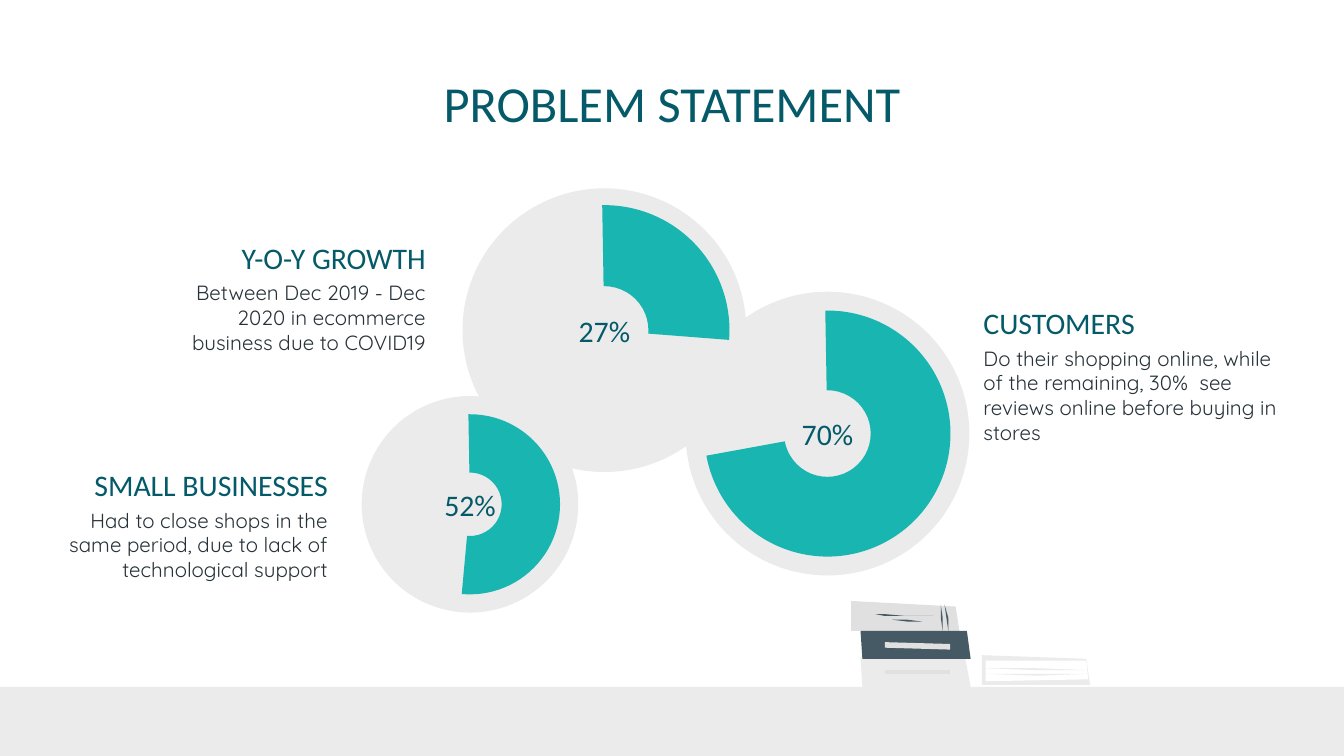
from pptx import Presentation
from pptx.util import Pt
from pptx.dml.color import RGBColor
from pptx.enum.shapes import MSO_SHAPE
from pptx.enum.text import MSO_ANCHOR, MSO_AUTO_SIZE, PP_ALIGN

PALE = RGBColor(0xEB, 0xEB, 0xEB)
GREY = RGBColor(0xE0, 0xE0, 0xE0)
SLATE = RGBColor(0x45, 0x5A, 0x64)
WHITE = RGBColor(0xFF, 0xFF, 0xFF)
TEAL = RGBColor(0x19, 0xB5, 0xB1)
PETROL = RGBColor(0x04, 0x5A, 0x68)
INK = RGBColor(0x26, 0x32, 0x38)


def write(sp, text, size=16, font="Calibri", color=PETROL,
          align=PP_ALIGN.CENTER, anchor=MSO_ANCHOR.MIDDLE):
    tf = sp.text_frame
    tf.word_wrap = True
    tf.auto_size = MSO_AUTO_SIZE.NONE
    tf.vertical_anchor = anchor
    tf.margin_left = tf.margin_right = tf.margin_top = tf.margin_bottom = Pt(7.2)
    p = tf.paragraphs[0]
    p.alignment = align
    r = p.add_run()
    r.text = text
    r.font.size = Pt(size)
    r.font.name = font
    r.font.color.rgb = color


def paint(sp, color):
    sp.shadow.inherit = False
    sp.fill.solid()
    sp.fill.fore_color.rgb = color
    sp.line.fill.background()


prs = Presentation()
prs.slide_width, prs.slide_height = Pt(720), Pt(405)
s = prs.slides.add_slide(prs.slide_layouts[5])

# Title
title = s.shapes.title
title.left, title.top, title.width, title.height = Pt(56.7), Pt(42.5), Pt(606.6), Pt(25.2)
write(title, "PROBLEM STATEMENT", size=27)

# Floor
floor = s.shapes.add_shape(MSO_SHAPE.RECTANGLE, Pt(0), Pt(368), Pt(720), Pt(37))
paint(floor, PALE)

# Books and the thin marks on them
outlines = [
    (PALE, [(460.8, 352), (462.2, 368), (519.8, 368), (517, 352)]),
    (GREY, [(473.8, 358.6), (473.8, 361.4), (509, 361.4), (509, 358.6)]),
    (GREY, [(455.8, 321.8), (456.5, 337.7), (514, 338.4), (511.9, 324.7)]),
    (SLATE, [(469.4, 329), (473.8, 329.8), (485.3, 330.5), (500.4, 330.5),
             (485.3, 329.8), (473.8, 329)]),
    (SLATE, [(503.6, 324), (504, 331.2), (505.4, 338.4), (504.9, 331.2)]),
    (SLATE, [(506.4, 324), (506.9, 331.2), (508.5, 338.4), (507.8, 331.2)]),
    (SLATE, [(478.1, 332.4), (486, 332.9), (493.9, 332.9), (486, 332)]),
    (PALE, [(525.6, 351.2), (526.5, 367), (584, 367), (581.8, 352.8)]),
    (WHITE, [(527.8, 353.5), (528.5, 365), (583, 364.3), (581.8, 354.4)]),
    (SLATE, [(461, 337.5), (462.3, 353.4), (519.8, 352.8), (517.6, 338.5)]),
    (GREY, [(473.6, 344), (473.6, 347), (509, 347.8), (509, 344.9)]),
    (PALE, [(527.8, 358.4), (555.1, 358.8), (582.4, 358.6), (555.1, 358)]),
    (PALE, [(528.5, 360.9), (555.8, 361.5), (583.2, 361.4), (555.8, 360.7)]),
]
for color, points in outlines:
    fb = s.shapes.build_freeform(*points[0], scale=Pt(1))
    fb.add_line_segments(points[1:], close=True)
    paint(fb.convert_to_shape(), color)

# Gauges: label, centre x, centre y, disc diameter, ring diameter, end angle
gauges = [
    ("27%", 323.8, 176.9, 152, 134, 4.46),
    ("52%", 251.8, 270.2, 116, 96.5, 95.24),
    ("70%", 443.3, 232.3, 152, 131.8, 169.64),
]
for label, cx, cy, disc, ring, end in gauges:
    sp = s.shapes.add_shape(MSO_SHAPE.OVAL, Pt(cx - disc / 2), Pt(cy - disc / 2),
                            Pt(disc), Pt(disc))
    paint(sp, PALE)
for label, cx, cy, disc, ring, end in gauges:
    arc = s.shapes.add_shape(MSO_SHAPE.BLOCK_ARC, Pt(cx - ring / 2), Pt(cy - ring / 2),
                             Pt(ring), Pt(ring))
    # An angle of one degree is 0.6 in adjustment units
    arc.adjustments[0] = 269 * 0.6
    arc.adjustments[1] = end * 0.6
    arc.adjustments[2] = 0.324
    paint(arc, TEAL)
    box = s.shapes.add_textbox(Pt(cx - 28), Pt(cy - 21), Pt(56), Pt(42))
    write(box, label)

# Notes: heading, body, left, top, width, alignment
notes = [
    ("CUSTOMERS", "Do their shopping online, while of the remaining, 30%  see reviews "
     "online before buying in stores", 519.8, 156.2, 172, PP_ALIGN.LEFT),
    ("Y-O-Y GROWTH", "Between Dec 2019 - Dec 2020 in ecommerce business due to COVID19",
     88.5, 121.2, 146.7, PP_ALIGN.RIGHT),
    ("SMALL BUSINESSES", "Had to close shops in the same period, due to lack of "
     "technological support", 26.6, 243, 156.2, PP_ALIGN.RIGHT),
]
for heading, body, x, y, w, align in notes:
    box = s.shapes.add_textbox(Pt(x), Pt(y), Pt(w), Pt(21.8))
    write(box, heading, align=align, anchor=MSO_ANCHOR.TOP)
    box = s.shapes.add_textbox(Pt(x), Pt(y + 21.8), Pt(w), Pt(57.6))
    write(box, body, size=11, font="Quicksand", color=INK, align=align,
          anchor=MSO_ANCHOR.TOP)

prs.save("out.pptx")
